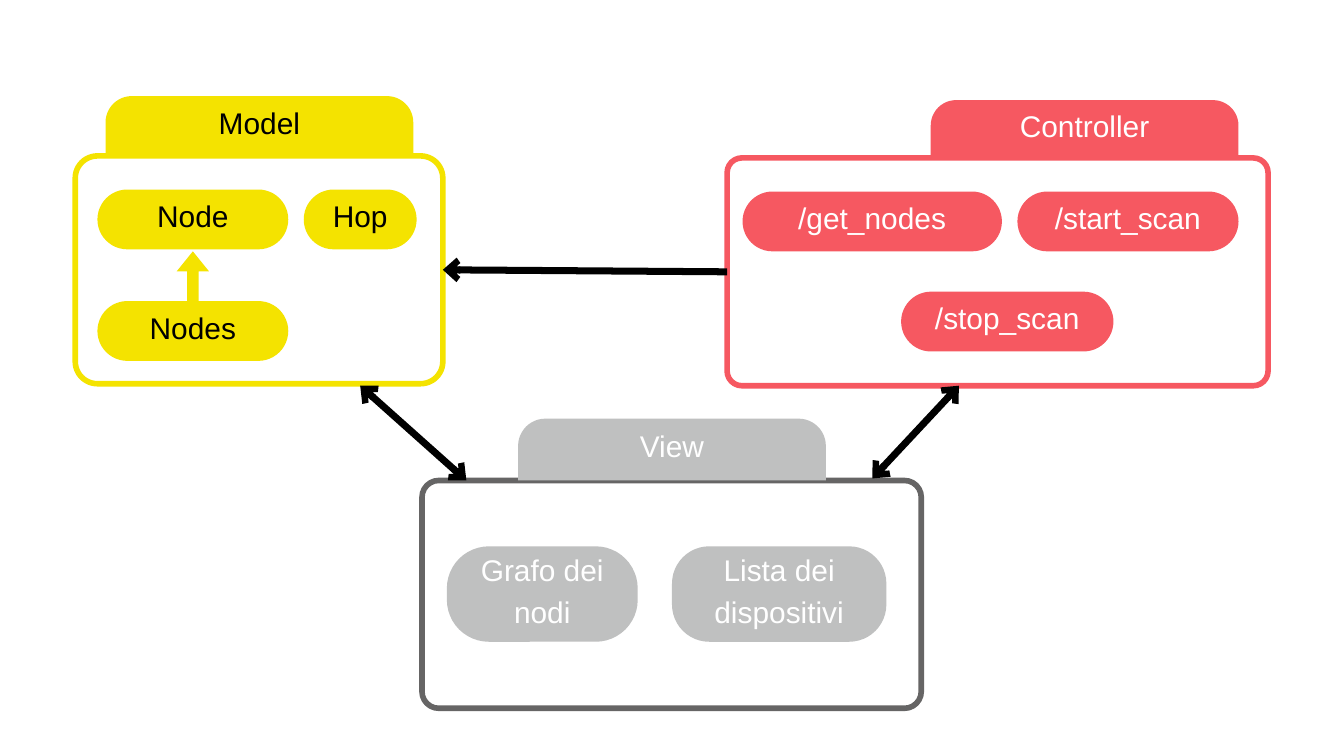
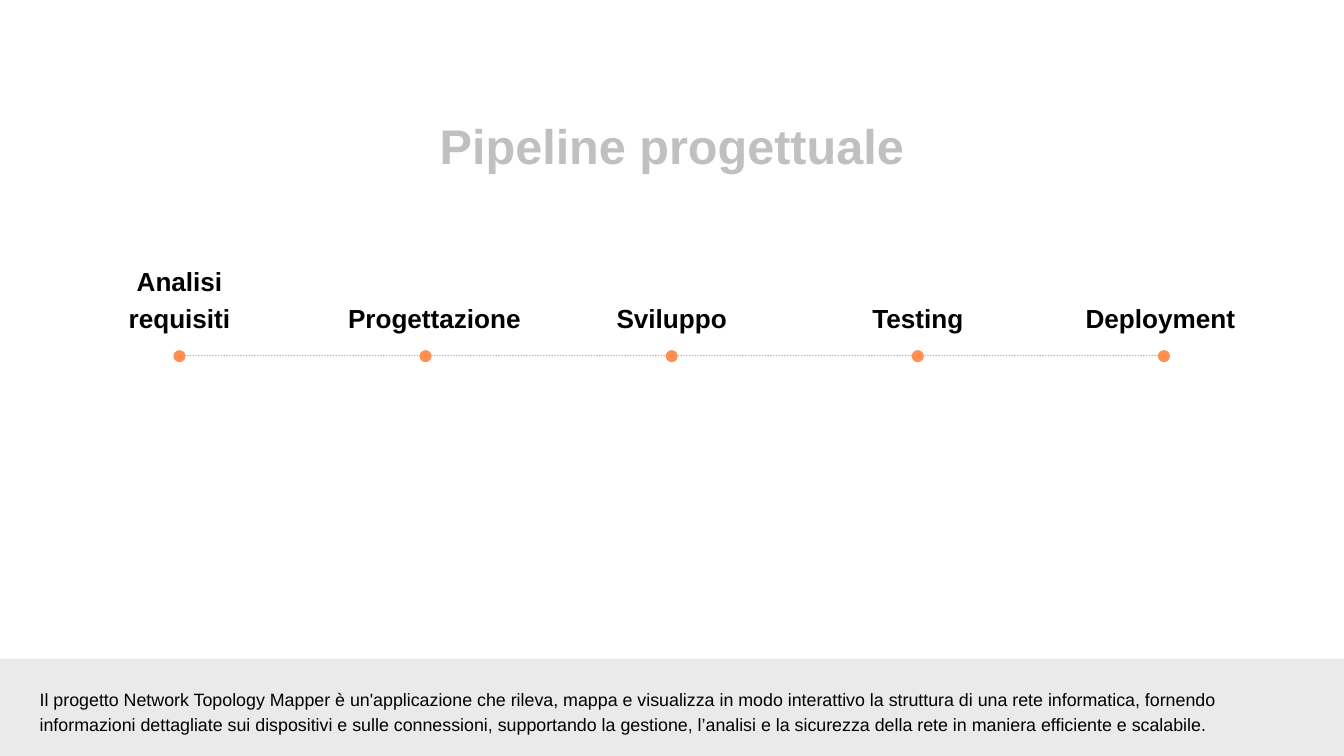
from lxml.etree import SubElement
from pptx import Presentation
from pptx.dml.color import RGBColor
from pptx.enum.dml import MSO_LINE
from pptx.enum.shapes import MSO_CONNECTOR, MSO_SHAPE as SHAPE
from pptx.enum.text import MSO_ANCHOR as ANCHOR, MSO_AUTO_SIZE, PP_ALIGN as ALIGN
from pptx.oxml.ns import qn
from pptx.util import Inches, Pt

# Shared look
FONT = "Arial"
BLACK, WHITE, DARK = "000000", "FFFFFF", "393939"
YELLOW, RED, SILVER, GREY = "F4E300", "F65861", "BFC0C0", "666565"
ORANGE, TITLE_GREY = "FF8E4F", "828282"
LABEL = {"size": 32, "spacing": 44.8, "inset": 0.06, "anchor": ANCHOR.MIDDLE}
TITLE = {"size": 52.1, "spacing": 62.5, "bold": True, "color": TITLE_GREY}
STAGE = {"size": 28, "spacing": 39.2, "bold": True, "anchor": ANCHOR.BOTTOM}
BODY = {"size": 19.1, "spacing": 26.7, "align": ALIGN.LEFT}

# MVC diagram
PANEL_HEIGHT, TAB_WIDTH, PILL_HEIGHT, TALL_PILL = 3.39, 4.58, 0.89, 1.42
LABEL_RISE = 0.2

# Timeline
STAGES = [("Analisi requisiti", 0), ("Progettazione", 0.13), ("Sviluppo", 0),
          ("Testing", 0), ("Deployment ", 0)]
SUMMARY = (
    "Il progetto Network Topology Mapper è un'applicazione che rileva, mappa e "
    "visualizza in modo interattivo la struttura di una rete informatica, "
    "fornendo informazioni dettagliate sui dispositivi e sulle connessioni, "
    "supportando la gestione, l’analisi e la sicurezza della rete in maniera "
    "efficiente e scalabile."
)


def rgb(color):
    return RGBColor.from_string(color)


def set_attributes(target, values):
    for name, value in values.items():
        setattr(target, name, value)


def set_alpha(element, percent):
    for color in element.iter(qn("a:srgbClr")):
        SubElement(color, qn("a:alpha"), val=str(percent * 1000))


def write_text(shape, text, size, spacing, color=BLACK, bold=False, inset=0,
               anchor=ANCHOR.TOP, align=ALIGN.CENTER):
    frame = shape.text_frame
    margins = {f"margin_{side}": Inches(inset)
               for side in ("left", "top", "right", "bottom")}
    set_attributes(frame, {"word_wrap": True, "auto_size": MSO_AUTO_SIZE.NONE,
                           "vertical_anchor": anchor, **margins})
    paragraph = frame.paragraphs[0]
    set_attributes(paragraph, {"alignment": align, "line_spacing": Pt(spacing),
                               "space_before": Pt(0)})
    run = paragraph.add_run()
    run.text = text
    set_attributes(run.font, {"name": FONT, "size": Pt(size), "bold": bold})
    run.font.color.rgb = rgb(color)


def add_text(slide, box, text, **style):
    write_text(slide.shapes.add_textbox(*map(Inches, box)), text, **style)


def add_block(slide, kind, box, fill, border=None, adjustments=()):
    shape = slide.shapes.add_shape(kind, *map(Inches, box))
    shape.shadow.inherit = False
    shape.fill.solid()
    shape.fill.fore_color.rgb = rgb(fill)
    if border:
        shape.line.color.rgb = rgb(border)
        shape.line.width = Pt(6)
    else:
        shape.line.fill.background()
    for index, value in enumerate(adjustments):
        shape.adjustments[index] = value
    return shape


def add_line(slide, start, end, color, width, arrows=()):
    line = slide.shapes.add_connector(MSO_CONNECTOR.STRAIGHT,
                                      *map(Inches, (*start, *end)))
    line.line.color.rgb = rgb(color)
    line.line.width = Pt(width)
    properties = line.line._get_or_add_ln()
    for tag in arrows:
        SubElement(properties, qn(f"a:{tag}"), type="arrow", w="med", len="sm")
    SubElement(line._element.spPr, qn("a:effectLst"))
    return line


def add_labelled(slide, kind, box, text, fill, color, adjustments):
    left, top, width, height = box
    add_block(slide, kind, box, fill, adjustments=adjustments)
    add_text(slide, (left, top - LABEL_RISE, width, height + LABEL_RISE),
             text, color=color, **LABEL)


def add_component(slide, box, name, fill, border, color, radius, tab, pills):
    """Panel with a tab on top; tab and pills are placed from its corner."""
    left, top, _, height = box
    panel = add_block(slide, SHAPE.ROUNDED_RECTANGLE, box, WHITE, border,
                      [radius / height])
    tab_left, tab_height = tab
    add_labelled(slide, SHAPE.ROUND_2_SAME_RECTANGLE,
                 (left + tab_left, top - tab_height, TAB_WIDTH, tab_height),
                 name, fill, color, [0.44, 0])
    for text, x, y, width, pill_height, rounding in pills:
        add_labelled(slide, SHAPE.ROUNDED_RECTANGLE,
                     (left + x, top + y, width, pill_height),
                     text, fill, color, [rounding])
    return panel


def build_architecture(presentation):
    slide = presentation.slides.add_slide(presentation.slide_layouts[6])

    # Components
    model = add_component(
        slide, (1.12, 2.32, 5.47, PANEL_HEIGHT), "Model", YELLOW, YELLOW, BLACK,
        0.33, (0.45, 0.89),
        [("Node", 0.33, 0.5, 2.84, PILL_HEIGHT, 0.5),
         ("Hop", 3.4, 0.5, 1.68, PILL_HEIGHT, 0.5),
         ("Nodes", 0.33, 2.16, 2.84, PILL_HEIGHT, 0.5)])
    add_component(
        slide, (6.28, 7.15, 7.43, PANEL_HEIGHT), "View", SILVER, GREY, WHITE,
        0.25, (1.43, 0.92),
        [("Grafo dei nodi", 0.37, 0.98, 2.84, TALL_PILL, 0.44),
         ("Lista dei dispositivi", 3.72, 0.98, 3.19, TALL_PILL, 0.39)])
    controller = add_component(
        slide, (10.82, 2.35, 8.05, PANEL_HEIGHT), "Controller", RED, RED, WHITE,
        0.22, (3.03, 0.86),
        [("/get_nodes", 0.23, 0.5, 3.86, PILL_HEIGHT, 0.5),
         ("/start_scan", 4.32, 0.5, 3.29, PILL_HEIGHT, 0.5),
         ("/stop_scan", 2.59, 1.99, 3.16, PILL_HEIGHT, 0.5)])

    # Relations
    add_block(slide, SHAPE.UP_ARROW, (2.63, 3.74, 0.48, 0.89), YELLOW,
              adjustments=[0.36, 0.62])
    both_ends = ("headEnd", "tailEnd")
    add_line(slide, (5.36, 5.74), (6.94, 7.15), BLACK, 7.5, both_ends)
    add_line(slide, (14.27, 5.74), (12.98, 7.12), BLACK, 7.5, both_ends)
    request = add_line(slide, (6.59, 4.02), (10.82, 4.04), BLACK, 7.5,
                       ("headEnd",))
    request.begin_connect(model, 3)
    request.end_connect(controller, 1)


def add_timeline(slide, box):
    """Dotted line with evenly spaced dots and a label above each one."""
    left, top, width, height = box
    axis = top + height
    dot, label_width, label_height = 0.18, 2.69, 1.09
    line = add_line(slide, (left + 0.07, axis), (left + width - 0.07, axis),
                    DARK, 1.5)
    line.line.dash_style = MSO_LINE.ROUND_DOT
    set_alpha(line._element, 35)
    pitch = width / (len(STAGES) - 1)
    for index, (name, shift) in enumerate(STAGES):
        center = left + index * pitch
        add_block(slide, SHAPE.OVAL,
                  (center - dot / 2, axis + 0.01 - dot / 2, dot, dot), ORANGE)
        add_text(slide, (center + shift - label_width / 2, top,
                         label_width, label_height), name, **STAGE)


def add_footer(slide, box):
    left, top, width, height = box
    band = add_block(slide, SHAPE.RECTANGLE, box, DARK)
    set_alpha(band._element.spPr, 10)
    add_text(slide, (left + 0.59, top + 0.39, width - 1.18, height - 0.39),
             SUMMARY, **BODY)


def build_pipeline(presentation):
    slide = presentation.slides.add_slide(presentation.slide_layouts[5])
    add_footer(slide, (0, 9.8, 20, 1.45))

    # Title
    title = slide.shapes.title
    set_attributes(title, {"left": Inches(2.59), "top": Inches(1.72),
                           "width": Inches(14.82), "height": Inches(0.85)})
    write_text(title, "Pipeline progettuale", **TITLE)
    set_alpha(title._element, 50)

    add_timeline(slide, (2.67, 3.87, 14.65, 1.42))


def main():
    presentation = Presentation()
    presentation.slide_width = Inches(20)
    presentation.slide_height = Inches(11.25)
    build_architecture(presentation)
    build_pipeline(presentation)
    presentation.save("out.pptx")


if __name__ == "__main__":
    main()
